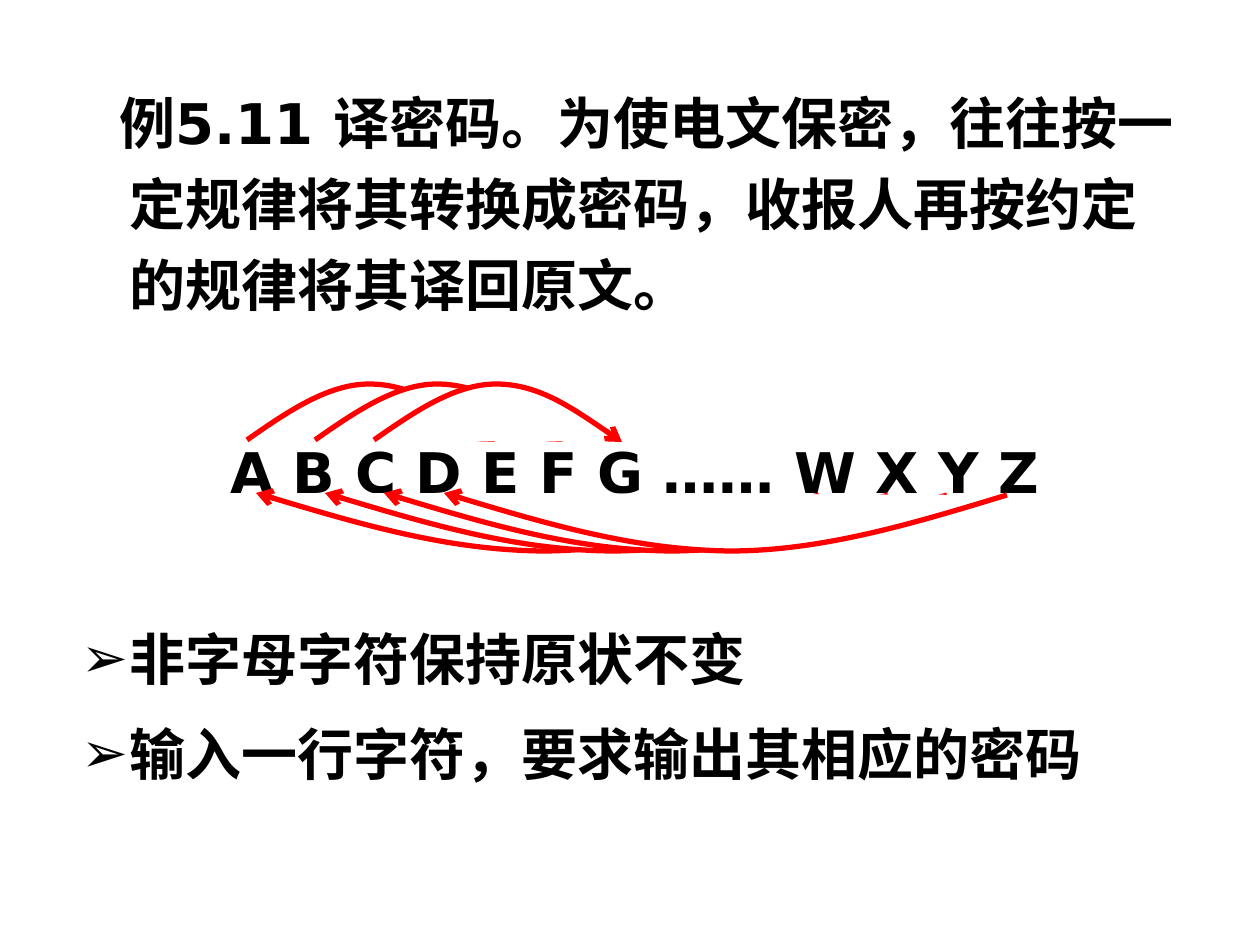
from lxml import etree
from pptx import Presentation
from pptx.dml.color import RGBColor
from pptx.enum.text import MSO_ANCHOR, MSO_AUTO_SIZE, PP_ALIGN
from pptx.oxml.ns import qn
from pptx.util import Pt

SCALE = 914400 / 126  # EMU per px
LEFT, CENTER = PP_ALIGN.LEFT, PP_ALIGN.CENTER
TOP = MSO_ANCHOR.TOP
NO_AUTOFIT = MSO_AUTO_SIZE.NONE
FONT = "DejaVu Sans"
BLACK, WHITE, RED = "000000", "FFFFFF", "FF0000"

# Start point, then three points for each curve segment
FORWARD_CURVE = [(0, 56), (40, 28), (81, 0), (122, 0),
                 (164, 0), (206, 29), (248, 58)]
WRAP_CURVE = [(563, 2), (471, 30), (379, 58), (286, 58),
              (192, 57), (96, 29), (0, 0)]


def px(length):
    return round(length * SCALE)


def color(hex_string):
    return RGBColor.from_string(hex_string)


def add_bullet(paragraph, char):
    props = paragraph._p.get_or_add_pPr()
    if char:
        bullet_color = etree.SubElement(props, qn("a:buClr"))
        etree.SubElement(bullet_color, qn("a:srgbClr"), val=BLACK)
        etree.SubElement(props, qn("a:buChar"), char=char)
    else:
        etree.SubElement(props, qn("a:buNone"))


def write(paragraph, text, size=32, align=LEFT, before=0, indent=-48, bullet=None):
    add_bullet(paragraph, bullet)
    props = paragraph._p.get_or_add_pPr()
    props.set("marL", str(px(48)))
    props.set("indent", str(px(indent)))
    paragraph.alignment = align
    paragraph.line_spacing = 1.2
    paragraph.space_before = Pt(before)
    run = paragraph.add_run()
    run.text = text
    run.font.name = FONT
    run.font.size = Pt(size)
    run.font.bold = True
    run.font.color.rgb = color(BLACK)


def fill_body(body, left, top, width, height):
    body.left, body.top, body.width, body.height = map(px, (left, top, width, height))
    frame = body.text_frame
    frame.word_wrap = True
    frame.auto_size = NO_AUTOFIT
    frame.vertical_anchor = TOP
    write(frame.paragraphs[0],
          "例5.11 译密码。为使电文保密，往往按一定规律将其转换成密码，"
          "收报人再按约定的规律将其译回原文。", indent=-10)
    write(frame.add_paragraph(), "A B C D E F G …… W X Y Z", align=CENTER, before=61)
    write(frame.add_paragraph(), "非字母字符保持原状不变", before=61, bullet="➢")
    write(frame.add_paragraph(), "输入一行字符，要求输出其相应的密码", before=8, bullet="➢")


def add_curved_arrow(slide, left, top, points):
    builder = slide.shapes.build_freeform(*points[0], scale=SCALE)
    builder.add_line_segments(points[1:], close=False)
    arrow = builder.convert_to_shape(px(left), px(top))

    # Turn each three straight segments into one Bezier segment
    outline = next(arrow.element.iter(qn("a:path")))
    segments = outline.findall(qn("a:lnTo"))
    for first in range(0, len(segments), 3):
        curve = etree.SubElement(outline, qn("a:cubicBezTo"))
        for segment in segments[first:first + 3]:
            curve.append(segment[0])
            outline.remove(segment)

    arrow.shadow.inherit = False
    arrow.fill.solid()
    arrow.fill.fore_color.rgb = color(WHITE)
    arrow.line.color.rgb = color(RED)
    arrow.line.width = Pt(3)
    etree.SubElement(arrow.line._get_or_add_ln(), qn("a:tailEnd"), type="arrow")


def add_shift_arrows(slide, left, top):
    """Arrows from each letter to its code letter, above and below the alphabet."""
    for offset in (0, 68, 127):
        add_curved_arrow(slide, left + offset, top, FORWARD_CURVE)
    for offset in (9, 78, 137, 197):
        add_curved_arrow(slide, left + offset, top + 109, WRAP_CURVE)


def main():
    prs = Presentation()
    prs.slide_width, prs.slide_height = px(1260), px(945)
    slide = prs.slides.add_slide(prs.slide_layouts[1])
    title = slide.shapes.title.element
    title.getparent().remove(title)
    fill_body(slide.placeholders[1], 69, 69, 1132, 759)
    add_shift_arrows(slide, 247, 384)
    prs.save("out.pptx")


if __name__ == "__main__":
    main()
